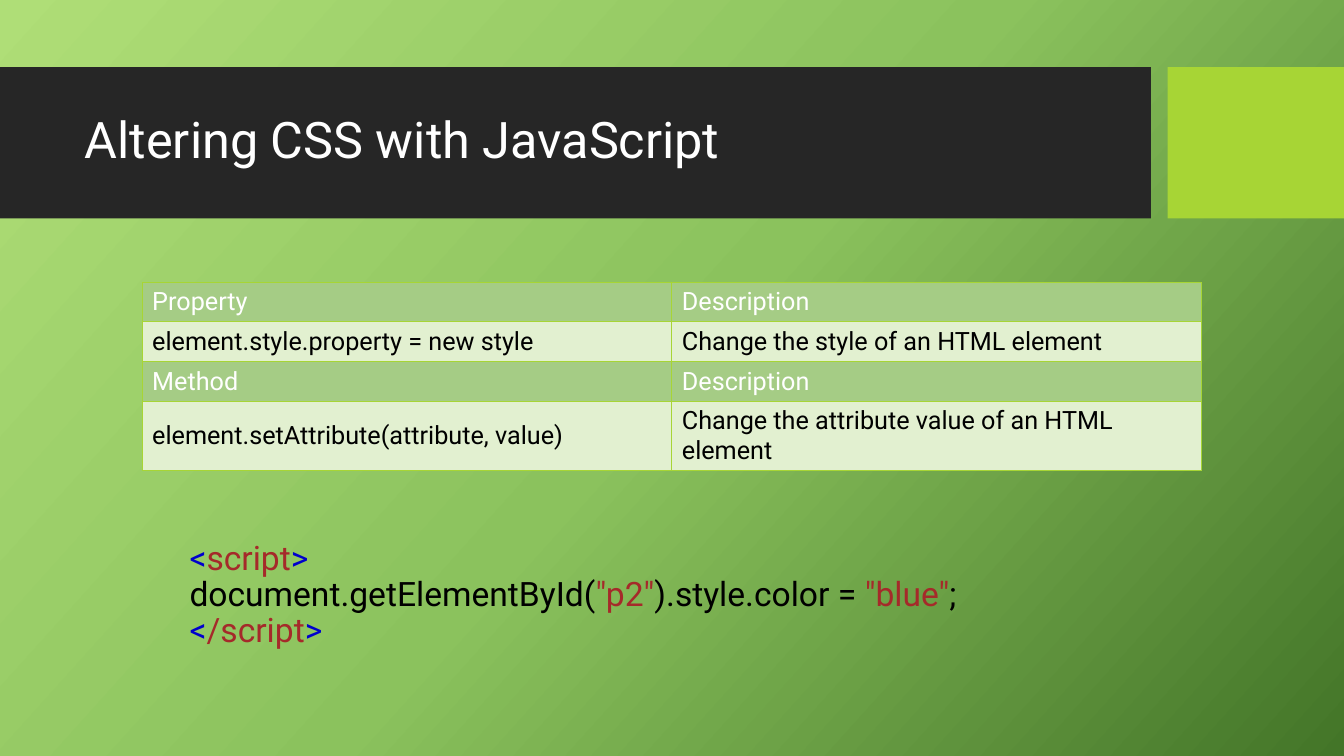
"""Build the slide on altering CSS with JavaScript."""
import copy

import pptx
import pptx.dml.color
import pptx.enum.shapes
import pptx.enum.text
import pptx.oxml
import pptx.oxml.ns
import pptx.util

COLORS = {
    "light": "AFDE77", "middle": "8BC25D", "deep": "437528",
    "bar": "262626", "lime": "A7D535", "header": "A5CC85", "row": "E2F0D0",
    "white": "FFFFFF", "black": "000000", "bracket": "0000CD", "string": "A52A2A",
}
COLUMNS, ROWS = 80, 45
CONTENT_WIDTH = 63.06


class SlideBuilder:
    font = "Roboto"

    def __init__(self, deck):
        self.deck = deck
        self.page = deck.slides.add_slide(deck.slide_layouts[1])

    def across(self, columns):
        return round(self.deck.slide_width * columns / COLUMNS)

    def down(self, rows):
        return round(self.deck.slide_height * rows / ROWS)

    def area(self, left, top, width, height):
        return self.across(left), self.down(top), self.across(width), self.down(height)

    def color(self, name):
        return pptx.dml.color.RGBColor.from_string(COLORS[name])

    def background(self, stops, angle):
        fill = self.page.background.fill
        fill.gradient()
        stop_list = self.page.element.find(".//" + pptx.oxml.ns.qn("a:gsLst"))
        stop_list.append(copy.deepcopy(stop_list[-1]))
        for stop, (position, name) in zip(fill.gradient_stops, stops):
            stop.position = position
            stop.color.rgb = self.color(name)
        fill.gradient_angle = 360 - angle

    def block(self, left, top, width, height, name):
        box = self.page.shapes.add_shape(
            pptx.enum.shapes.MSO_SHAPE.RECTANGLE, *self.area(left, top, width, height))
        box.shadow.inherit = False
        box.fill.solid()
        box.fill.fore_color.rgb = self.color(name)
        box.line.fill.background()

    def add_span(self, para, text, size, name):
        span = para.add_run()
        span.text = text
        span.font.size = pptx.util.Pt(size)
        span.font.name = self.font
        span.font.bold = False
        span.font.color.rgb = self.color(name)

    def placeholder(self, index, place, anchor, lines, size, space_before=0):
        box = self.page.placeholders[index]
        box.left, box.top, box.width, box.height = self.area(*place)
        self.page.shapes.element.append(box.element)
        frame = box.text_frame
        frame.auto_size = pptx.enum.text.MSO_AUTO_SIZE.NONE
        frame.vertical_anchor = anchor
        para = frame.paragraphs[0]
        para.alignment = pptx.enum.text.PP_ALIGN.LEFT
        para.line_spacing = 0.9
        para.space_before = pptx.util.Pt(space_before)
        properties = para._p.get_or_add_pPr()
        properties.set("marL", "0")
        properties.set("indent", "0")
        properties.append(pptx.oxml.parse_xml(f"<a:buNone {pptx.oxml.ns.nsdecls('a')}/>"))
        for number, line in enumerate(lines):
            if number:
                para.add_line_break()
            for text, name in line:
                self.add_span(para, text, size, name)

    def border(self, cell):
        properties = cell._tc.get_or_add_tcPr()
        for position, side in enumerate(("lnL", "lnR", "lnT", "lnB")):
            properties.insert(position, pptx.oxml.parse_xml(
                f'<a:{side} {pptx.oxml.ns.nsdecls("a")} w="{pptx.util.Pt(0.75)}">'
                f'<a:solidFill><a:srgbClr val="{COLORS["lime"]}"/></a:solidFill></a:{side}>'))

    def table(self, left, top, width, heights, records):
        table = self.page.shapes.add_table(
            len(records), len(records[0]),
            *self.area(left, top, width, sum(heights))).table
        for number, (height, record) in enumerate(zip(heights, records)):
            table.rows[number].height = self.down(height)
            fill, ink = ("row", "black") if number % 2 else ("header", "white")
            for column, text in enumerate(record):
                cell = table.cell(number, column)
                cell.fill.solid()
                cell.fill.fore_color.rgb = self.color(fill)
                cell.vertical_anchor = pptx.enum.text.MSO_ANCHOR.MIDDLE
                self.add_span(cell.text_frame.paragraphs[0], text, 18, ink)
                self.border(cell)


def main():
    deck = pptx.Presentation()
    deck.slide_width = pptx.util.Inches(13.33)
    deck.slide_height = pptx.util.Inches(7.5)
    slide = SlideBuilder(deck)
    slide.background([(0, "light"), (0.5, "middle"), (1, "deep")], 42)
    slide.block(0, 4, 68.5, 9, "bar")
    slide.block(69.5, 4, 10.5, 9, "lime")
    slide.placeholder(
        0, (4.44, 4.92, CONTENT_WIDTH, 7.08), pptx.enum.text.MSO_ANCHOR.MIDDLE,
        [[("Altering CSS with JavaScript", "white")]], 36)
    slide.placeholder(
        1, (10.68, 31.92, CONTENT_WIDTH, 8.16), pptx.enum.text.MSO_ANCHOR.TOP,
        [
            [("<", "bracket"), ("script", "string"), (">", "bracket")],
            [("document.getElementById(", "black"), ('"p2"', "string"),
             (").style.color = ", "black"), ('"blue"', "string"), (";", "black")],
            [("<", "bracket"), ("/script", "string"), (">", "bracket")],
        ], 24, space_before=10)
    slide.table(8.46, 16.8, CONTENT_WIDTH, [2.36, 2.36, 2.36, 4.12], [
        ("Property", "Description"),
        ("element.style.property = new style", "Change the style of an HTML element"),
        ("Method", "Description"),
        ("element.setAttribute(attribute, value)",
         "Change the attribute value of an HTML element"),
    ])
    deck.save("out.pptx")


if __name__ == "__main__":
    main()
